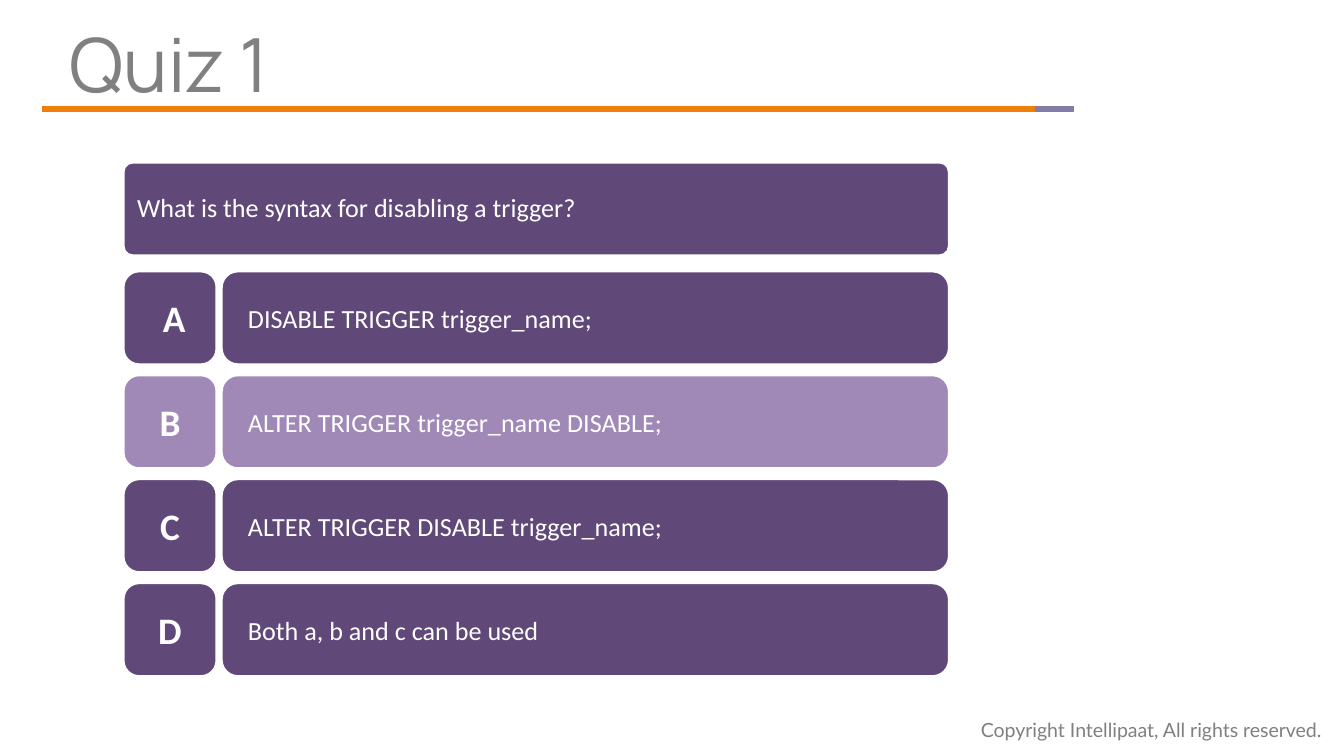
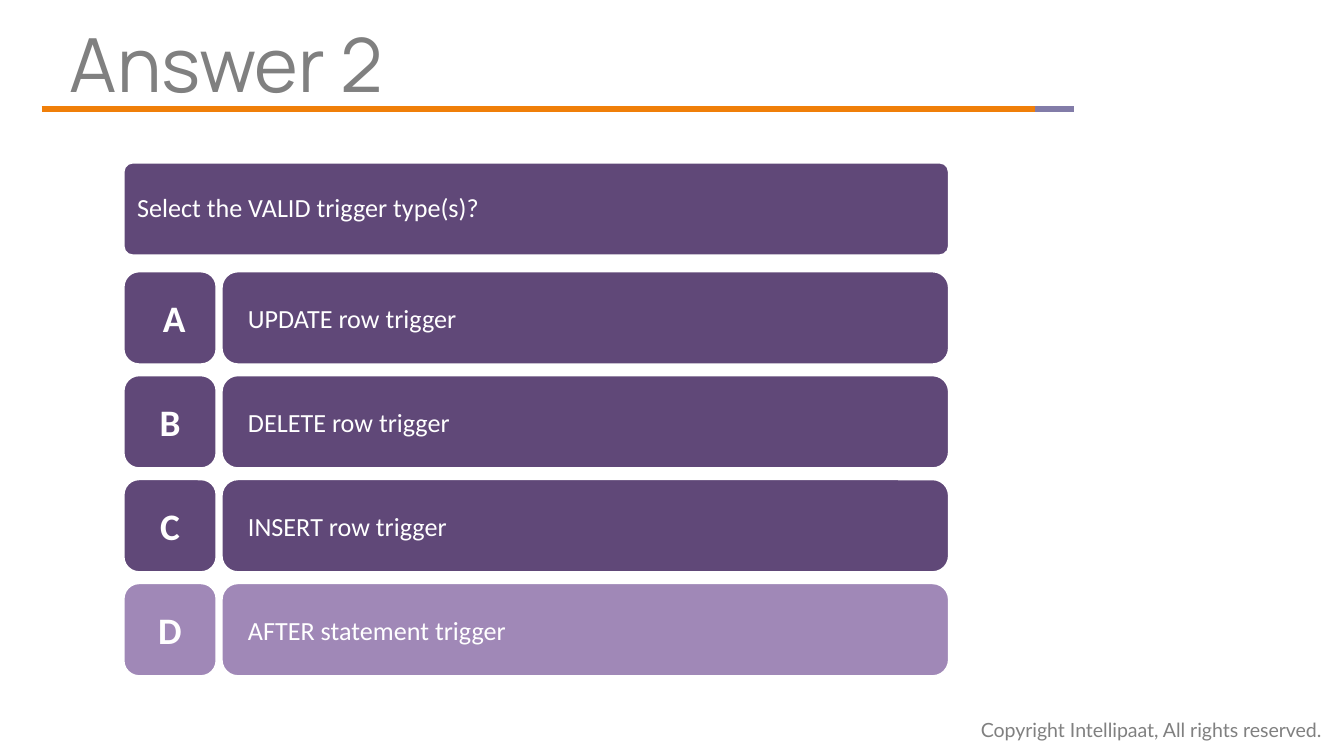
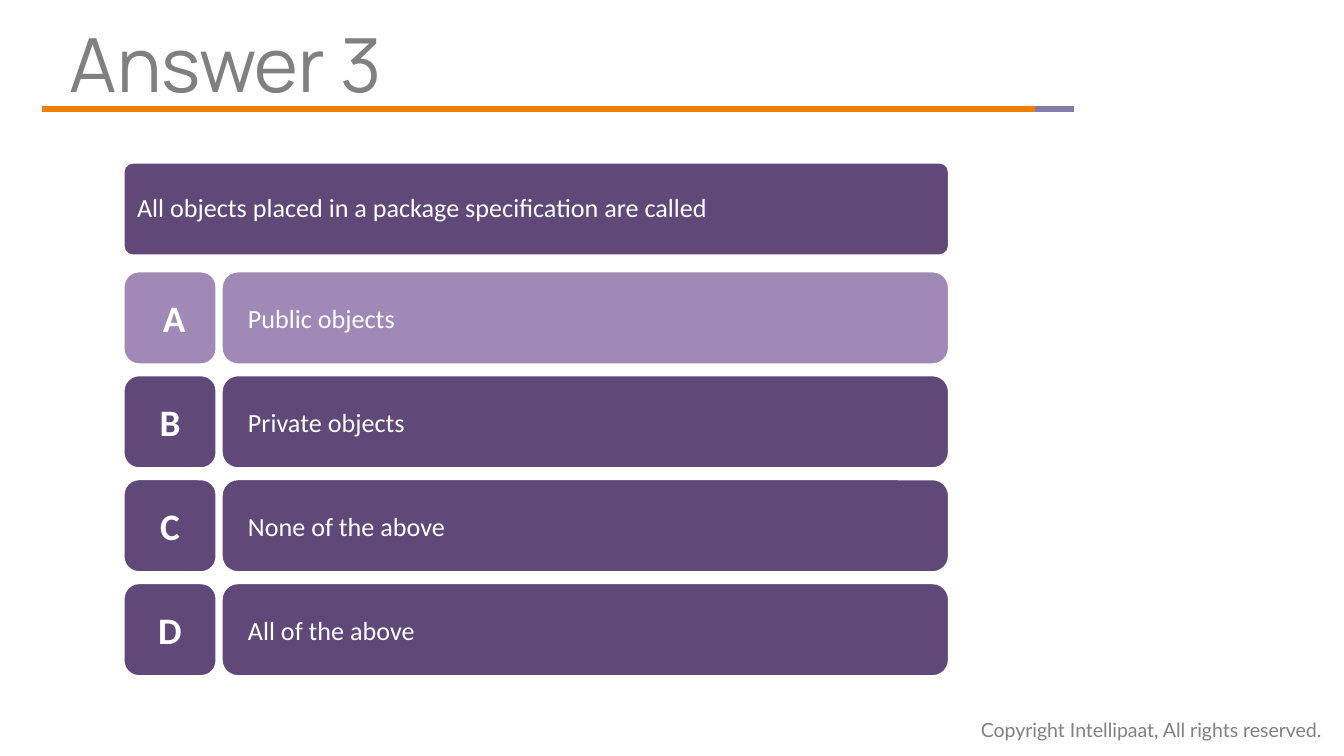
from dataclasses import dataclass

from pptx import Presentation
from pptx.dml.color import RGBColor
from pptx.enum.shapes import MSO_CONNECTOR as Connector, MSO_SHAPE as Shape
from pptx.enum.text import MSO_ANCHOR as Anchor, MSO_AUTO_SIZE as AutoSize, PP_ALIGN as Align
from pptx.oxml.ns import qn
from pptx.slide import Slide
from pptx.text.text import TextFrame
from pptx.util import Inches, Pt
from lxml.etree import SubElement

COLORS = {
    "text": "808080",
    "orange": "F07F09",
    "lavender": "827CA8",
    "tile": "604878",
    "correct": "A088B7",
    "white": "FFFFFF",
}
COPYRIGHT = "Copyright Intellipaat, All rights reserved."
LETTERS = (" A", "B", "C", "D")

PAGE_WIDTH = 10
PAGE_HEIGHT = PAGE_WIDTH * 9 / 16
RULE_TOP = 0.81
RULE_STOPS = (0.31, 7.7, 7.99)
LEFT, RIGHT = 0.92, 7.06
TILE = 0.69
OPTION_LEFT = 1.65
QUESTION_TOP = 1.21
FIRST_ROW, LAST_ROW = 2.02, 4.34
ROW_STEP = (LAST_ROW - FIRST_ROW) / (len(LETTERS) - 1)


@dataclass(frozen=True)
class Quiz:
    """Hold one question, its four options and the index of the correct one."""

    title: str
    question: str
    options: tuple[str, ...]
    correct: int


@dataclass(frozen=True)
class Area:
    """Hold a rectangle in inches."""

    left: float
    top: float
    width: float
    height: float = TILE

    def lengths(self) -> tuple[int, ...]:
        """Return the rectangle as slide lengths."""
        return tuple(Inches(side) for side in (self.left, self.top, self.width, self.height))


QUIZZES = (
    Quiz(
        "Quiz 1",
        "What is the syntax for disabling a trigger?",
        (
            "DISABLE TRIGGER trigger_name;",
            "ALTER TRIGGER trigger_name DISABLE;",
            "ALTER TRIGGER DISABLE trigger_name;",
            "Both a, b and c can be used",
        ),
        1,
    ),
    Quiz(
        "Answer 2",
        "Select the VALID trigger type(s)?",
        (
            "UPDATE row trigger",
            "DELETE row trigger",
            "INSERT row trigger",
            "AFTER statement trigger",
        ),
        3,
    ),
    Quiz(
        "Answer 3",
        "All objects placed in a package specification are called",
        ("Public objects", "Private objects", "None of the above", "All of the above"),
        0,
    ),
)


def color(name: str) -> RGBColor:
    """Look up a palette colour."""
    return RGBColor.from_string(COLORS[name])


def write(
    frame: TextFrame,
    text: str,
    *,
    size: float,
    font: str = "Calibri",
    fill: str = "white",
    bold: bool = False,
    align: Align = Align.LEFT,
    anchor: Anchor = Anchor.MIDDLE,
    insets: tuple[float, float, float, float] = (0.1, 0.05, 0.1, 0.05),
    spacing: float = 1.0,
    wrap: bool = True,
    fit: AutoSize = AutoSize.NONE,
) -> None:
    """Fill a text frame with one formatted paragraph."""
    frame.word_wrap = wrap
    frame.auto_size = fit
    frame.vertical_anchor = anchor
    frame.margin_left, frame.margin_top, frame.margin_right, frame.margin_bottom = map(Inches, insets)
    para = frame.paragraphs[0]
    para.alignment = align
    para.line_spacing = spacing
    para.space_before = Pt(0)
    span = para.add_run()
    span.text = text
    span.font.name = font
    span.font.size = Pt(size)
    span.font.bold = bold
    span.font.color.rgb = color(fill)


def add_tile(page: Slide, area: Area, fill: str, corner: float) -> TextFrame:
    """Draw a rounded tile and return its text frame."""
    tile = page.shapes.add_shape(Shape.ROUNDED_RECTANGLE, *area.lengths())
    tile.adjustments[0] = corner
    tile.shadow.inherit = False
    tile.fill.solid()
    tile.fill.fore_color.rgb = color(fill)
    tile.line.color.rgb = color("white")
    tile.line.width = Pt(1)
    return tile.text_frame


def add_rule(page: Slide, start: float, end: float, stroke: str) -> None:
    """Draw one part of the rule under the title."""
    rule = page.shapes.add_connector(
        Connector.STRAIGHT, Inches(start), Inches(RULE_TOP), Inches(end), Inches(RULE_TOP)
    )
    rule.line.color.rgb = color(stroke)
    rule.line.width = Pt(3)
    SubElement(rule._element.spPr, qn("a:effectLst"))


def add_frame(page: Slide, title: str) -> None:
    """Add the footer, the rule and the title."""
    footer = page.shapes.add_textbox(*Area(7.2, 5.29, 2.83, 0.28).lengths())
    write(
        footer.text_frame, COPYRIGHT, size=10.5, font="Lato", fill="text",
        anchor=Anchor.TOP, wrap=False, fit=AutoSize.SHAPE_TO_FIT_TEXT,
    )
    for start, end, stroke in zip(RULE_STOPS, RULE_STOPS[1:], ("orange", "lavender")):
        add_rule(page, start, end, stroke)
    heading = page.shapes.title
    heading.left, heading.top, heading.width, heading.height = Area(0.52, 0.16, 7.1, 0.63).lengths()
    write(
        heading.text_frame, title, size=40, font="Manrope", fill="text",
        anchor=Anchor.TOP, insets=(0, 0.05, 0.1, 0.05), spacing=0.9,
    )


def add_quiz(page: Slide, quiz: Quiz) -> None:
    """Draw the question and its lettered options."""
    add_frame(page, quiz.title)
    question = add_tile(page, Area(LEFT, QUESTION_TOP, RIGHT - LEFT), "tile", 0.1)
    write(question, quiz.question, size=14, insets=(0.08, 0.05, 0.08, 0.05), spacing=0.9)
    for row, (letter, option) in enumerate(zip(LETTERS, quiz.options)):
        top = FIRST_ROW + row * ROW_STEP
        fill = "correct" if row == quiz.correct else "tile"
        badge = add_tile(page, Area(LEFT, top, TILE), fill, 0.167)
        write(badge, letter, size=20, bold=True, align=Align.CENTER)
        answer = add_tile(page, Area(OPTION_LEFT, top, RIGHT - OPTION_LEFT), fill, 0.175)
        write(answer, option, size=14, insets=(0.16, 0.16, 0.16, 0.16))


def main() -> None:
    """Build and save the deck."""
    deck = Presentation()
    deck.slide_width, deck.slide_height = Inches(PAGE_WIDTH), Inches(PAGE_HEIGHT)
    title_only = deck.slide_layouts.get_by_name("Title Only")
    for quiz in QUIZZES:
        add_quiz(deck.slides.add_slide(title_only), quiz)
    deck.save("out.pptx")


if __name__ == "__main__":
    main()
